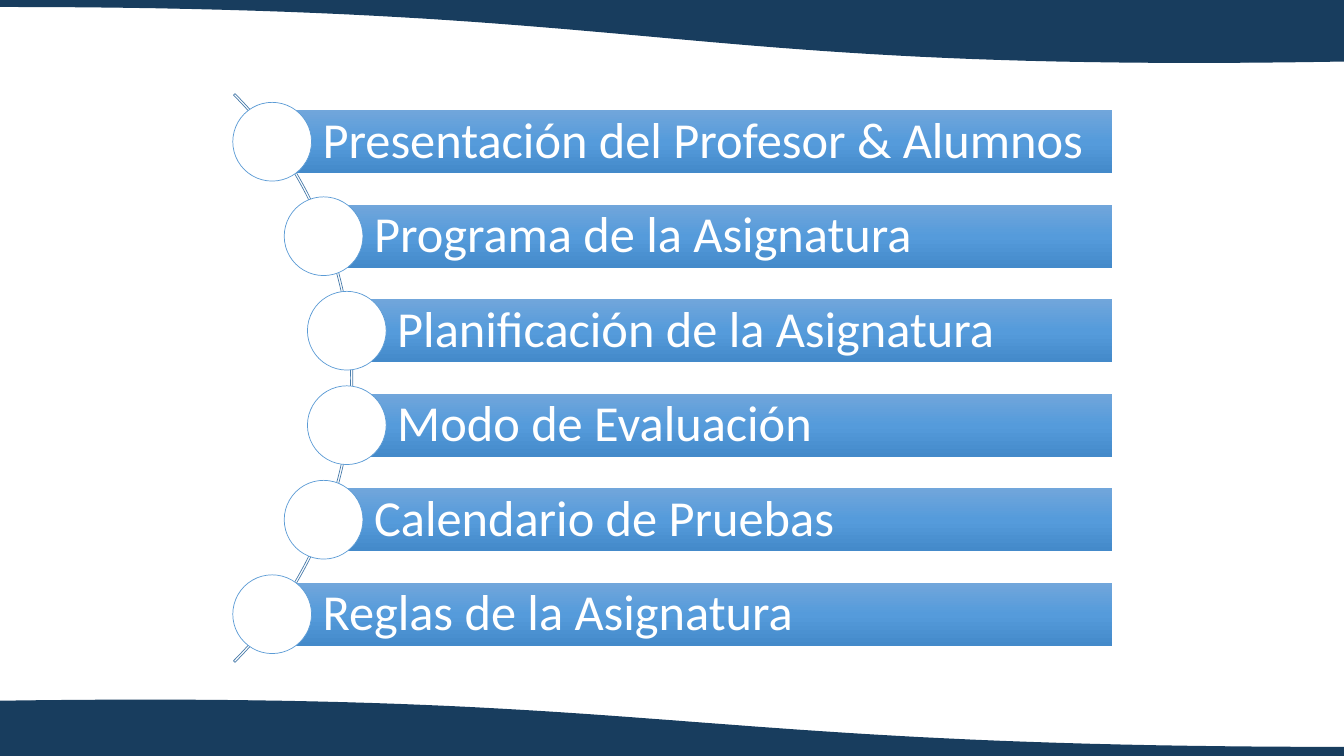
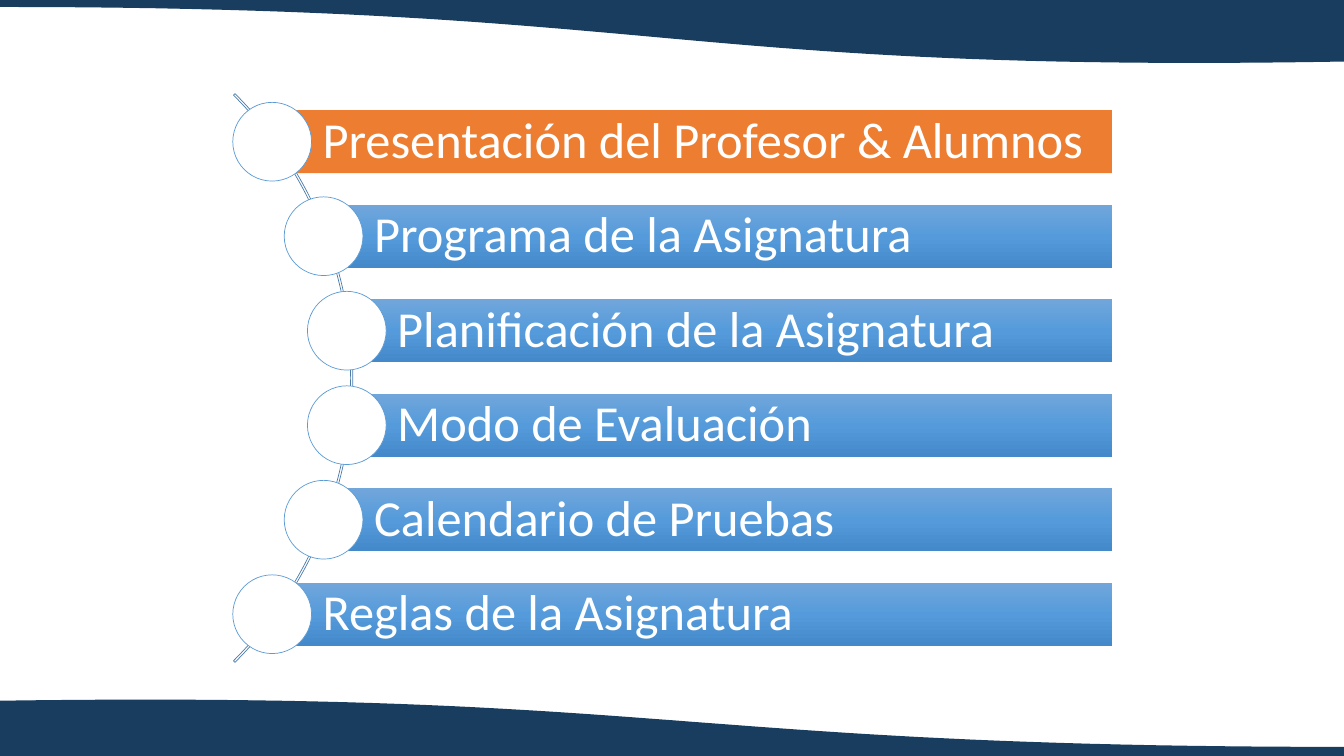
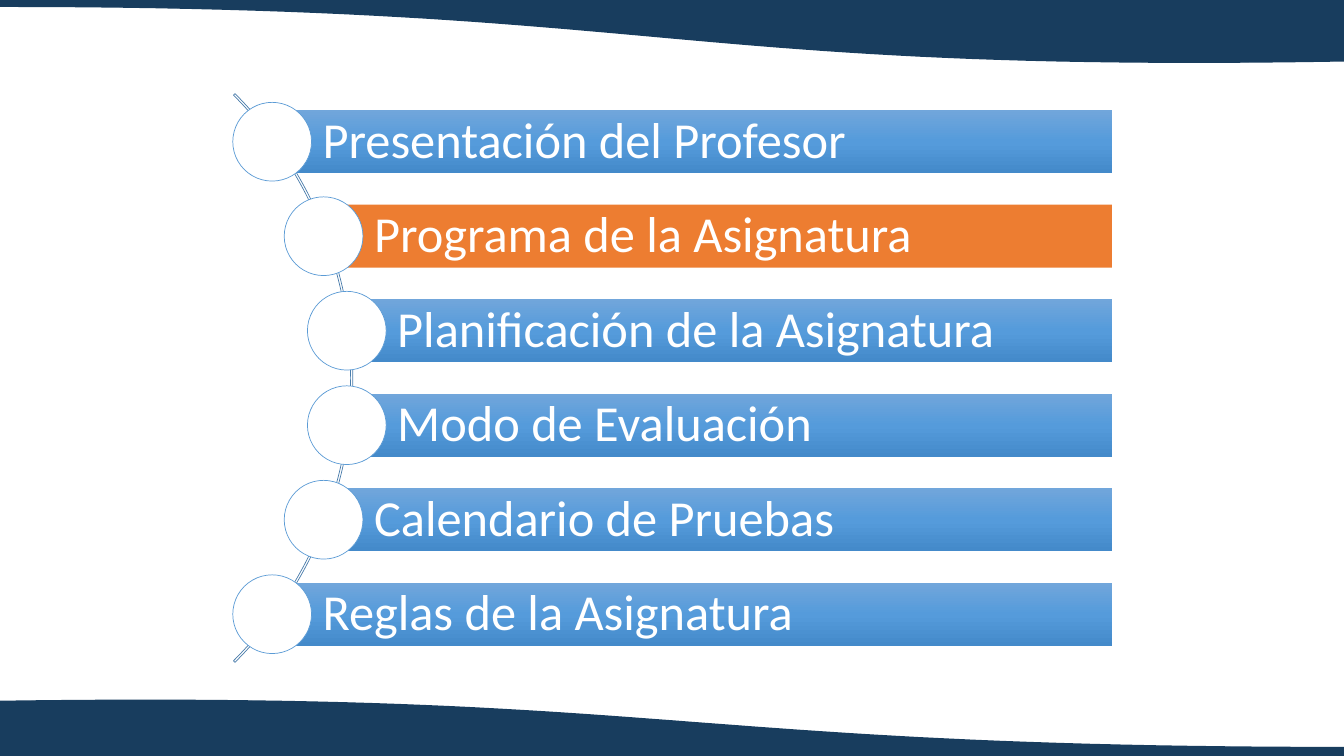
from copy import deepcopy
from math import sqrt

from pptx import Presentation
from pptx.dml.color import RGBColor
from pptx.enum.shapes import MSO_SHAPE as Preset
from pptx.enum.text import MSO_ANCHOR as Anchor, PP_ALIGN as Align
from pptx.oxml.ns import qn
from pptx.util import Pt

EMU_PER_PX = 9525
SLIDE_WIDTH, SLIDE_HEIGHT = 1280, 720

NAVY = RGBColor(0x18, 0x3D, 0x5E)
ARC_BLUE = RGBColor(0x49, 0x7C, 0xAB)
CIRCLE_BLUE = RGBColor(0x5B, 0x9B, 0xD5)
ORANGE = RGBColor(0xED, 0x7D, 0x31)
WHITE = RGBColor(0xFF, 0xFF, 0xFF)
BAR_GRADIENT = (
    (0, RGBColor(0x71, 0xA6, 0xDB)),
    (0.5, RGBColor(0x55, 0x9B, 0xDB)),
    (1, RGBColor(0x44, 0x8A, 0xCA)),
)
FONT = "Calibri"

ARC_CENTER_X, ARC_CENTER_Y = -47, SLIDE_HEIGHT // 2
ARC_SIZE = 766
CIRCLE_ORBIT = 380
CIRCLE_SIZE = 75
ROW_PITCH = 90
BAR_HEIGHT = 60
BAR_RIGHT = 1059
CURVE_STEPS = 48

TOPICS = [
    "Programa de la Asignatura",
    "Planificación de la Asignatura",
    "Modo de Evaluación",
    "Calendario de Pruebas",
    "Reglas de la Asignatura",
]
TEACHER_AND_STUDENTS = "Presentación del Profesor & Alumnos"
TEACHER = "Presentación del Profesor"
AGENDAS = [
    (TEACHER_AND_STUDENTS, None),
    (TEACHER_AND_STUDENTS, 0),
    (TEACHER, 1),
]


def px(value):
    return round(value * EMU_PER_PX)


def set_line(shape, color, width):
    if color is None:
        shape.line.fill.background()
    else:
        shape.line.color.rgb = color
        shape.line.width = Pt(width)


def add_preset(slide, preset, left, top, width, height,
               fill=None, line=None, line_width=0.5):
    shape = slide.shapes.add_shape(
        preset, px(left), px(top), px(width), px(height))
    shape.shadow.inherit = False
    if fill is None:
        shape.fill.background()
    else:
        shape.fill.solid()
        shape.fill.fore_color.rgb = fill
    set_line(shape, line, line_width)
    return shape


def fill_gradient(shape, stops):
    """Fill from top to bottom with three (position, color) stops."""
    shape.fill.gradient()
    shape.fill.gradient_angle = 270
    stop_list = shape.element.spPr.find(".//" + qn("a:gsLst"))
    stop_list.insert(1, deepcopy(stop_list[0]))
    for stop, (position, color) in zip(shape.fill.gradient_stops, stops):
        stop.position = position
        stop.color.rgb = color


def write_text(shape, text, size=36, color=WHITE, left_inset=48):
    frame = shape.text_frame
    frame.word_wrap = True
    frame.vertical_anchor = Anchor.MIDDLE
    frame.margin_left = px(left_inset)
    frame.margin_top = frame.margin_right = frame.margin_bottom = px(10)
    paragraph = frame.paragraphs[0]
    paragraph.alignment = Align.LEFT
    paragraph.line_spacing = 0.9
    run = paragraph.add_run()
    run.text = text
    run.font.name = FONT
    run.font.size = Pt(size)
    run.font.color.rgb = color


def bezier(t, start, control_1, control_2, end):
    u = 1 - t
    return (u ** 3 * start + 3 * u * u * t * control_1
            + 3 * u * t * t * control_2 + t ** 3 * end)


def add_wave_band(slide, edge, heights):
    """Fill between a horizontal edge and a cubic curve across the slide."""
    middle = SLIDE_WIDTH / 2
    curve = []
    for step in range(CURVE_STEPS + 1):
        t = step / CURVE_STEPS
        curve.append((px(bezier(t, 0, middle, middle, SLIDE_WIDTH)),
                      px(bezier(t, *heights))))
    builder = slide.shapes.build_freeform(0, px(edge))
    builder.add_line_segments(curve + [(px(SLIDE_WIDTH), px(edge))], close=True)
    band = builder.convert_to_shape()
    band.shadow.inherit = False
    band.fill.solid()
    band.fill.fore_color.rgb = NAVY
    set_line(band, NAVY, 1)


def add_arc(slide):
    arc = add_preset(slide, Preset.BLOCK_ARC,
                     ARC_CENTER_X - ARC_SIZE / 2, ARC_CENTER_Y - ARC_SIZE / 2,
                     ARC_SIZE, ARC_SIZE, line=ARC_BLUE)
    for index, value in enumerate((189, 27, 0.0027)):
        arc.adjustments[index] = value


def add_topic(slide, text, offset, highlighted):
    """Add a bar and its circle, offset vertically from the arc's center."""
    center_x = ARC_CENTER_X + sqrt(CIRCLE_ORBIT ** 2 - offset ** 2)
    center_y = ARC_CENTER_Y + offset
    bar = add_preset(slide, Preset.RECTANGLE, center_x, center_y - BAR_HEIGHT / 2,
                     BAR_RIGHT - center_x, BAR_HEIGHT, fill=ORANGE)
    if not highlighted:
        fill_gradient(bar, BAR_GRADIENT)
    write_text(bar, text)
    add_preset(slide, Preset.OVAL,
               center_x - CIRCLE_SIZE / 2, center_y - CIRCLE_SIZE / 2,
               CIRCLE_SIZE, CIRCLE_SIZE, fill=WHITE, line=CIRCLE_BLUE)


def add_agenda_slide(presentation, topics, current):
    slide = presentation.slides.add_slide(presentation.slide_layouts[6])
    add_wave_band(slide, -3, (6, 6, 69, 58))
    add_wave_band(slide, SLIDE_HEIGHT, (668, 659, 712, 712))
    add_arc(slide)
    for index, topic in enumerate(topics):
        offset = (index - (len(topics) - 1) / 2) * ROW_PITCH
        add_topic(slide, topic, offset, highlighted=index == current)


def main():
    presentation = Presentation()
    presentation.slide_width = px(SLIDE_WIDTH)
    presentation.slide_height = px(SLIDE_HEIGHT)
    for first_topic, current in AGENDAS:
        add_agenda_slide(presentation, [first_topic] + TOPICS, current)
    presentation.save("out.pptx")


if __name__ == "__main__":
    main()
